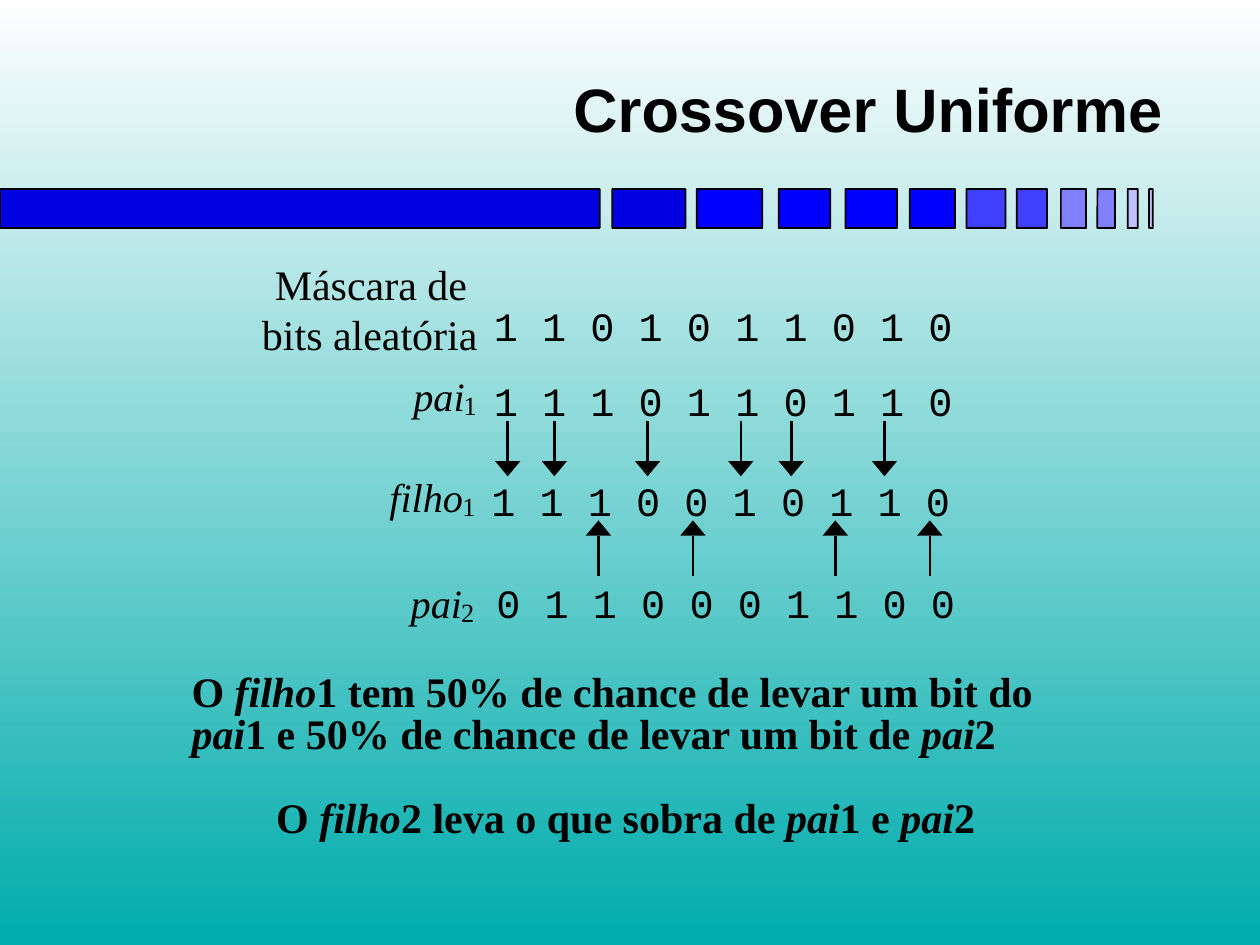
from dataclasses import dataclass

from pptx import Presentation
from pptx.dml.color import RGBColor
from pptx.enum.shapes import MSO_CONNECTOR, MSO_SHAPE
from pptx.enum.text import MSO_ANCHOR, MSO_AUTO_SIZE, PP_ALIGN
from pptx.oxml.xmlchemy import OxmlElement
from pptx.util import Inches, Pt

LEFT, MID, RIGHT = PP_ALIGN.LEFT, PP_ALIGN.CENTER, PP_ALIGN.RIGHT
CENTRE, TOP = MSO_ANCHOR.MIDDLE, MSO_ANCHOR.TOP
FIXED = MSO_AUTO_SIZE.NONE
LINE = MSO_CONNECTOR.STRAIGHT
ROUND = MSO_SHAPE.ROUNDED_RECTANGLE


@dataclass(frozen=True)
class Theme:
    ink: str = "000000"
    sky: str = "FEFEFE"
    sea: str = "00ACAC"
    blues: tuple = ("0000E0", "0000FF", "4040FF", "8080FF", "C0C0FF")
    head: tuple = ("Arial", 35)
    body: tuple = ("Times New Roman", 24)
    name: tuple = ("Times New Roman", 23)
    sub: tuple = ("Times New Roman", 15)
    code: tuple = ("Courier New", 23)


class Deck:
    """Draw the elements of a slide in one theme."""

    def __init__(self, theme):
        self.theme = theme
        self.show = Presentation()
        self.show.slide_width, self.show.slide_height = Inches(10), Inches(7.5)
        self.slide = self.show.slides.add_slide(self.show.slide_layouts[3])
        self.shapes = self.slide.shapes

    def back(self):
        fill = self.slide.background.fill
        fill.gradient()
        fill.gradient_angle = 270
        for stop, tone in zip(fill.gradient_stops, (self.theme.sky, self.theme.sea)):
            stop.color.rgb = RGBColor.from_string(tone)

    def words(self, par, runs, style, align=LEFT, bold=False):
        par.alignment = align
        for text, slant in runs:
            run = par.add_run()
            run.text = text
            font = run.font
            font.name, font.size = style[0], Pt(style[1])
            font.bold, font.italic = bold, slant
            font.color.rgb = RGBColor.from_string(self.theme.ink)

    def frame(self, shape, pad, anchor, wrap):
        frame = shape.text_frame
        frame.auto_size, frame.word_wrap = FIXED, wrap
        frame.vertical_anchor = anchor
        frame.margin_left = frame.margin_right = Inches(pad[0])
        frame.margin_top = frame.margin_bottom = Inches(pad[1])
        return frame

    def place(self, index, area, runs, style, align, before, space=1.0):
        shape = self.slide.placeholders[index]
        shape.left, shape.top, shape.width, shape.height = map(Inches, area)
        par = self.frame(shape, (0.02, 0.05), CENTRE, True).paragraphs[0]
        self.words(par, runs, style, align, True)
        par.space_before, par.line_spacing = Pt(before), space
        props = par._p.get_or_add_pPr()
        props.set("marL", "0")
        props.set("indent", "0")
        props.append(OxmlElement("a:buNone"))

    def text(self, area, lines, style, align=LEFT, slant=False, pad=(0, 0), wrap=False):
        box = self.shapes.add_textbox(*map(Inches, area))
        frame = self.frame(box, pad, TOP, wrap)
        for i, line in enumerate(lines):
            par = frame.add_paragraph() if i else frame.paragraphs[0]
            self.words(par, [(line, slant)], style, align)

    def paint(self, shape, tone):
        shape.shadow.inherit = False
        shape.fill.solid()
        shape.fill.fore_color.rgb = RGBColor.from_string(tone)

    def bar(self, left, width, tone):
        area = map(Inches, (left, 1.5, width, 0.31))
        bar = self.shapes.add_shape(ROUND, *area)
        bar.adjustments[0] = 0.01
        self.paint(bar, tone)
        bar.line.color.rgb = RGBColor.from_string(self.theme.ink)
        bar.line.width = Pt(1)

    def arrow(self, x, tail, neck, tip):
        stem = self.shapes.add_connector(LINE, *map(Inches, (x, tail, x, neck)))
        stem.line.color.rgb = RGBColor.from_string(self.theme.ink)
        stem.line.width = Pt(1.5)
        stem._element.spPr.append(OxmlElement("a:effectLst"))
        pen = self.shapes.build_freeform(Inches(x - 0.1), Inches(neck))
        pen.add_line_segments([(Inches(x), Inches(tip)), (Inches(x + 0.1), Inches(neck))])
        head = pen.convert_to_shape()
        self.paint(head, self.theme.ink)
        head.line.fill.background()


def main():
    theme = Theme()
    deck = Deck(theme)
    deck.back()
    deck.place(0, (0.75, 0.11, 8.5, 1.5), [("Crossover Uniforme", False)],
               theme.head, RIGHT, 5.4)
    chance = [("O ", False), ("filho", True),
              ("1 tem 50% de chance de levar um bit do ", False), ("pai", True),
              ("1 e 50% de chance de levar um bit de ", False), ("pai", True), ("2", False)]
    rest = [("O ", False), ("filho", True), ("2 leva o que sobra de ", False),
            ("pai", True), ("1 e ", False), ("pai", True), ("2", False)]
    deck.place(1, (1.5, 5.17, 7.09, 1.02), chance, theme.body, LEFT, 16.4, 0.85)
    deck.place(2, (1.42, 6, 7.09, 1.02), rest, theme.body, MID, 16.4, 0.85)

    bars = [(0, 4.76, 0), (4.86, 0.58, 0), (5.53, 0.52, 1), (6.18, 0.41, 1),
            (6.71, 0.41, 1), (7.22, 0.36, 1), (7.67, 0.31, 2), (8.07, 0.24, 2),
            (8.42, 0.2, 3), (8.71, 0.14, 3), (8.95, 0.08, 4), (9.12, 0.03, 4)]
    for left, width, shade in bars:
        deck.bar(left, width, theme.blues[shade])

    deck.text((1.58, 2, 2.31, 0.9), ["Máscara de ", "bits aleatória"], theme.body,
              RIGHT, pad=(0.1, 0.05), wrap=True)
    rows = [(3.92, 2.39, "1101011010"), (3.92, 2.99, "1110110110"),
            (3.9, 3.78, "1110010110"), (3.94, 4.59, "0110001100")]
    for left, top, bits in rows:
        deck.text((left, top, 3.64, 0.38), [" ".join(bits)], theme.code)

    names = [("pai", "1", 3.28, 0.41, 2.95), ("filho", "1", 3.09, 0.59, 3.75),
             ("pai", "2", 3.26, 0.41, 4.59)]
    for name, digit, left, width, top in names:
        deck.text((left, top, width, 0.38), [name], theme.name, slant=True)
        deck.text((left + width - 0.01, top + 0.14, 0.11, 0.25), [digit], theme.sub)

    for x in (4.03, 4.4, 5.14, 5.88, 6.28, 7.02):
        deck.arrow(x, 3.34, 3.66, 3.78)
    for x in (4.75, 5.5, 6.63, 7.38):
        deck.arrow(x, 4.57, 4.25, 4.13)
    deck.show.save("out.pptx")


if __name__ == "__main__":
    main()
